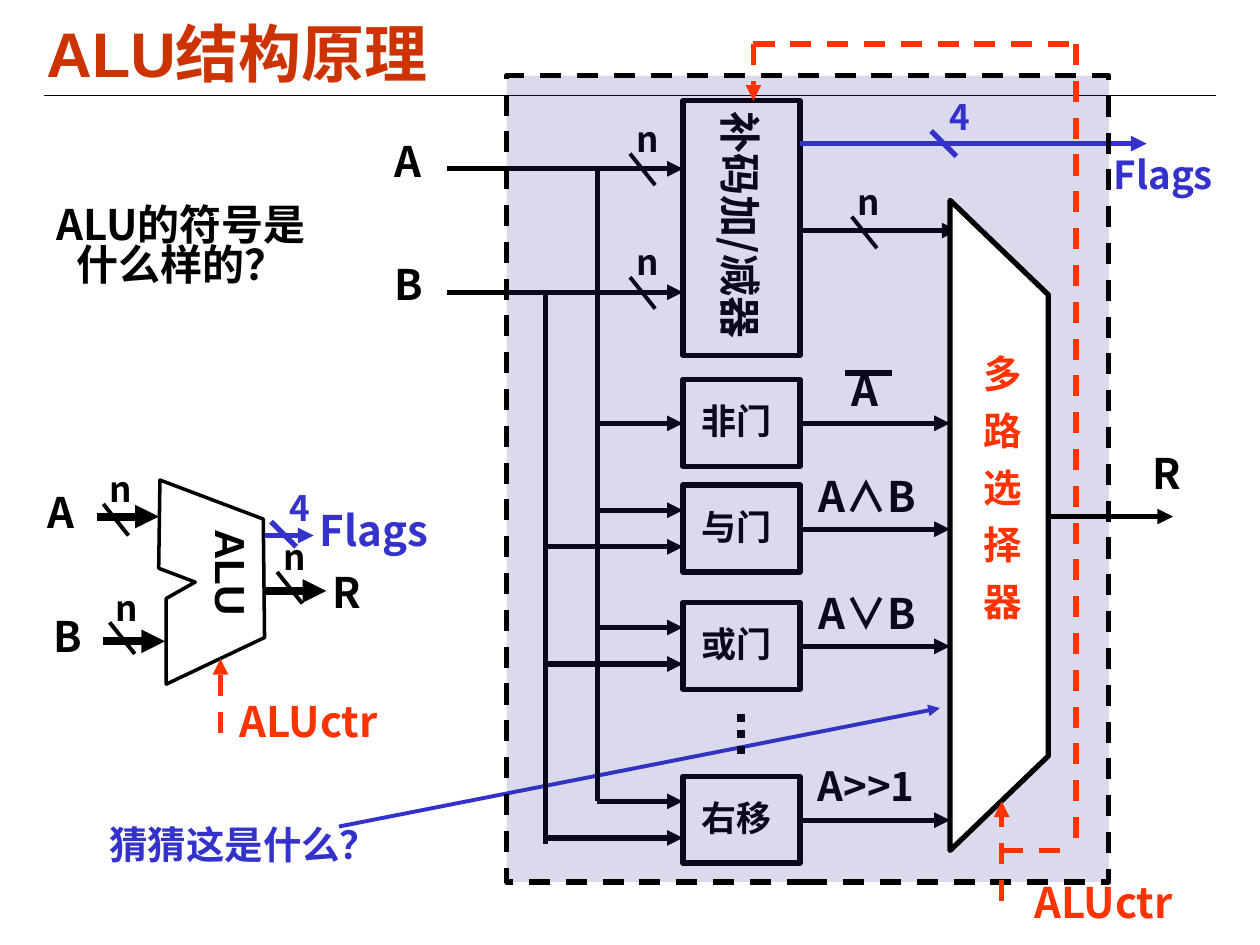
from dataclasses import dataclass
from lxml import etree
from pptx import Presentation
from pptx.dml.color import RGBColor
from pptx.enum.dml import MSO_LINE_DASH_STYLE as Dash
from pptx.enum.shapes import MSO_CONNECTOR as Connector, MSO_SHAPE as Shape
from pptx.enum.text import MSO_ANCHOR as Anchor
from pptx.oxml.ns import qn
from pptx.util import Cm, Pt

BLACK = RGBColor(0, 0, 0)
WHITE = RGBColor(255, 255, 255)
BLUE = RGBColor(0x33, 0x33, 0xCC)
NAVY = RGBColor(0x33, 0x33, 0x99)
RED = RGBColor(0xFF, 0x33, 0x00)
BRICK = RGBColor(0xCC, 0x33, 0x00)
CJK_FONT = "Noto Sans CJK SC"


def length(inches):
    return Cm(inches * 2.54)


def write(frame, text, size=24, color=BLACK, font=CJK_FONT, spacing=0.9,
          before=0, left=0, first=0):
    for index, line in enumerate(text.split("\n")):
        paragraph = frame.add_paragraph() if index else frame.paragraphs[0]
        paragraph.line_spacing = spacing
        paragraph.space_before = Pt(before if index else 0)
        if left:
            properties = paragraph._p.get_or_add_pPr()
            properties.set("marL", str(length(left)))
            properties.set("indent", str(length(first)))
        run = paragraph.add_run()
        run.text = line
        run.font.size = Pt(size)
        run.font.bold = True
        run.font.name = font
        run.font.color.rgb = color
        etree.SubElement(run._r.get_or_add_rPr(), qn("a:ea"), typeface=CJK_FONT)


@dataclass
class Diagram:
    slide: object
    weight: float = 3

    def text(self, x, y, width, height, text, rotation=0, inset=0.1,
             anchor=Anchor.TOP, **style):
        shape = self.slide.shapes.add_textbox(*map(length, (x, y, width, height)))
        shape.rotation = rotation
        frame = shape.text_frame
        frame.word_wrap = True
        frame.margin_left = frame.margin_right = length(inset)
        frame.margin_top = frame.margin_bottom = length(0.05)
        frame.vertical_anchor = anchor
        write(frame, text, **style)

    def line(self, x1, y1, x2, y2, color=BLACK, weight=None, dash=None, arrow=False):
        line = self.slide.shapes.add_connector(
            Connector.STRAIGHT, *map(length, (x1, y1, x2, y2)))
        self.outline(line, color, weight, dash)
        if arrow:
            etree.SubElement(line.line._get_or_add_ln(), qn("a:tailEnd"), type="triangle")
        etree.SubElement(line._element.spPr, qn("a:effectLst"))

    def arrow(self, *ends, **style):
        self.line(*ends, arrow=True, **style)

    def outline(self, shape, color=BLACK, weight=None, dash=None):
        shape.line.color.rgb = color
        shape.line.width = Pt(weight or self.weight)
        if dash:
            shape.line.dash_style = dash

    def box(self, x, y, width, height, fill=WHITE, alpha=None, dash=None):
        shape = self.slide.shapes.add_shape(
            Shape.RECTANGLE, *map(length, (x, y, width, height)))
        shape.shadow.inherit = False
        shape.fill.solid()
        shape.fill.fore_color.rgb = fill
        if alpha:
            color = shape._element.spPr.find(qn("a:solidFill"))[0]
            etree.SubElement(color, qn("a:alpha"), val=str(alpha * 1000))
        self.outline(shape, dash=dash)

    def polygon(self, points, fill=None, weight=None):
        start, *rest = [(length(x), length(y)) for x, y in points]
        builder = self.slide.shapes.build_freeform(*start)
        builder.add_line_segments(rest, close=True)
        shape = builder.convert_to_shape()
        shape.shadow.inherit = False
        if fill is None:
            shape.fill.background()
        else:
            shape.fill.solid()
            shape.fill.fore_color.rgb = fill
        self.outline(shape, weight=weight)

    def bus_n(self, x, y):
        self.line(x + 0.05, y + 0.3, x + 0.25, y + 0.55, weight=2.25)
        self.text(x, y, 0.47, 0.43, "n", size=20)

    def bus_4(self, x, y):
        self.line(x - 0.05, y + 0.29, x + 0.15, y + 0.49, color=BLUE)
        self.text(x, y, 0.47, 0.43, "4", size=20, color=BLUE)


presentation = Presentation()
presentation.slide_width = length(10)
presentation.slide_height = length(7.5)
diagram = Diagram(presentation.slides.add_slide(presentation.slide_layouts[6]))

diagram.line(0.35, 0.76, 9.65, 0.76, weight=0.75)
diagram.text(0.27, 0.11, 9, 0.61, "ALU结构原理", anchor=Anchor.MIDDLE,
             size=36, color=BRICK, font="Arial", spacing=1)
diagram.text(0.13, 1.61, 2.66, 0.72, "ALU的符号是什么样的？",
             spacing=0.79, left=0.38, first=-0.16)

diagram.polygon([(1.27, 3.81), (2.09, 4.12), (2.1, 5.06), (1.32, 5.43),
                 (1.32, 4.75), (1.55, 4.62), (1.26, 4.51)], weight=2)
diagram.text(1.27, 4.42, 1.09, 0.46, "ALU", rotation=90, font="Arial")
for x, y in ((0.77, 4.1), (0.82, 5.09), (2.1, 4.69)):
    diagram.arrow(x, y, x + 0.49, y, weight=4.5)
    diagram.bus_n(x + (0.05 if x > 2 else 0), y - 0.4 - (0.05 if x > 0.8 else 0))
diagram.arrow(2.1, 4.25, 2.49, 4.25, color=BLUE)
diagram.bus_4(2.2, 3.85)
diagram.arrow(1.75, 5.82, 1.75, 5.23, color=RED, dash=Dash.DASH)
for x, y, name, color in (
        (0.28, 3.86, "A", BLACK), (0.33, 4.84, "B", BLACK), (2.54, 4.49, "R", BLACK),
        (2.44, 4, "Flags", BLUE), (1.8, 5.52, "ALUctr", RED)):
    diagram.text(x, y, 1.48, 0.5, name, color=color)

diagram.text(0.77, 6.51, 2.66, 0.47, "猜猜这是什么？", size=22, color=BLUE)
diagram.arrow(2.69, 6.56, 7.46, 5.62, color=BLUE, weight=2.25)

LEFT, RIGHT, MUX = 5.42, 6.35, 7.54
BUS_A, BUS_B = 4.74, 4.33
diagram.box(LEFT, 0.8, RIGHT - LEFT, 2.02)
diagram.text(4.73, 1.65, 2.22, 0.5, "补码加/减器", rotation=90)
for name, y, bus, bottom in (("A", 1.34, BUS_A, 6.36), ("B", 2.32, BUS_B, 6.7)):
    diagram.arrow(3.55, y, LEFT, y)
    diagram.line(bus, y, bus, bottom)
    diagram.text(3.03, y - 0.27, 0.57, 0.5, name)
    diagram.bus_n(4.95, y - 0.42)
diagram.arrow(RIGHT, 1.83, 7.6, 1.83)
diagram.bus_n(6.71, 1.42)
diagram.arrow(RIGHT, 1.14, 9.1, 1.14, color=BLUE)
diagram.text(8.84, 1.19, 0.93, 0.47, "Flags", inset=0, size=22, color=BLUE)

ONE_INPUT = ((BUS_A, 0.35),)
TWO_INPUTS = ((BUS_A, 0.2), (BUS_B, 0.49))
for y, name, inputs, result, result_x, size in (
        (3.01, "非门", ONE_INPUT, "A", 6.66, 24),
        (3.85, "与门", TWO_INPUTS, "A∧B", 6.4, 24),
        (4.78, "或门", TWO_INPUTS, "A∨B", 6.4, 24),
        (6.16, "右移", TWO_INPUTS, "A>>1", 6.39, 23)):
    diagram.box(LEFT, y, RIGHT - LEFT, 0.69)
    diagram.text(LEFT + 0.05, y + 0.15, 0.83, 0.43, name, size=20)
    for bus, offset in inputs:
        diagram.arrow(bus, y + offset, LEFT, y + offset)
    diagram.arrow(RIGHT, y + 0.35, MUX, y + 0.35)
    diagram.text(result_x, y - 0.12, 1.27, 0.5, result, size=size)
diagram.line(6.71, 2.96, 7.08, 2.96)
diagram.line(5.88, 5.67, 5.88, 6.01, weight=4.5, dash=Dash.ROUND_DOT)

diagram.box(4.02, 0.6, 4.78, 6.4, fill=NAVY, alpha=18, dash=Dash.DASH)
diagram.polygon([(MUX, 1.59), (8.32, 2.34), (8.32, 6), (MUX, 6.75)], fill=WHITE)
diagram.arrow(8.32, 4.1, 9.31, 4.1)
diagram.text(9.05, 3.55, 0.57, 0.5, "R")
diagram.bus_4(7.44, 0.75)

for *ends, arrow in ((7.95, 7.15, 7.95, 6.36, True), (5.98, 0.35, 5.98, 0.8, True),
                     (5.98, 0.35, 8.49, 0.35, False), (7.95, 6.75, 8.49, 6.75, False),
                     (8.54, 0.35, 8.54, 6.7, False)):
    diagram.line(*ends, color=RED, dash=Dash.DASH, arrow=arrow)
diagram.text(8.11, 6.95, 1.48, 0.5, "ALUctr", color=RED)
diagram.text(7.71, 2.77, 0.54, 2.67, "多\n路\n选\n择\n器", size=22, color=RED, before=8.8)

presentation.save("out.pptx")
